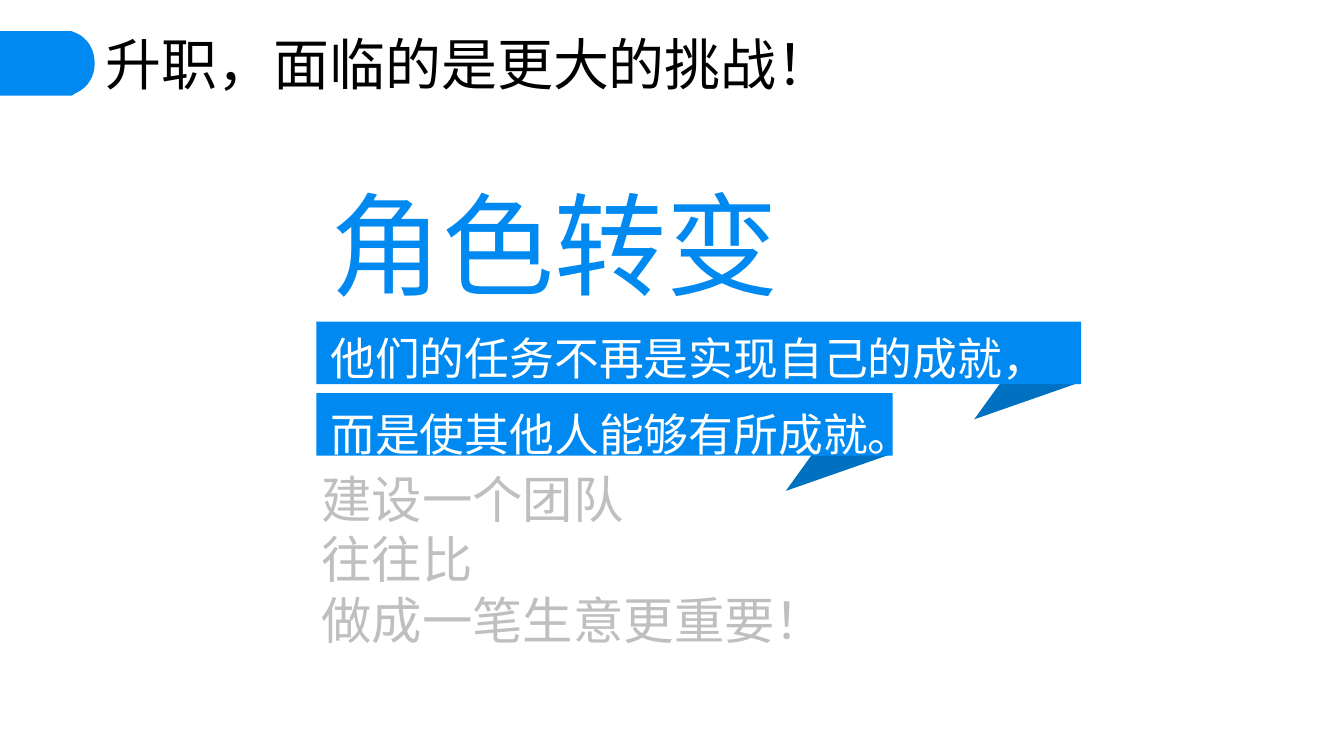
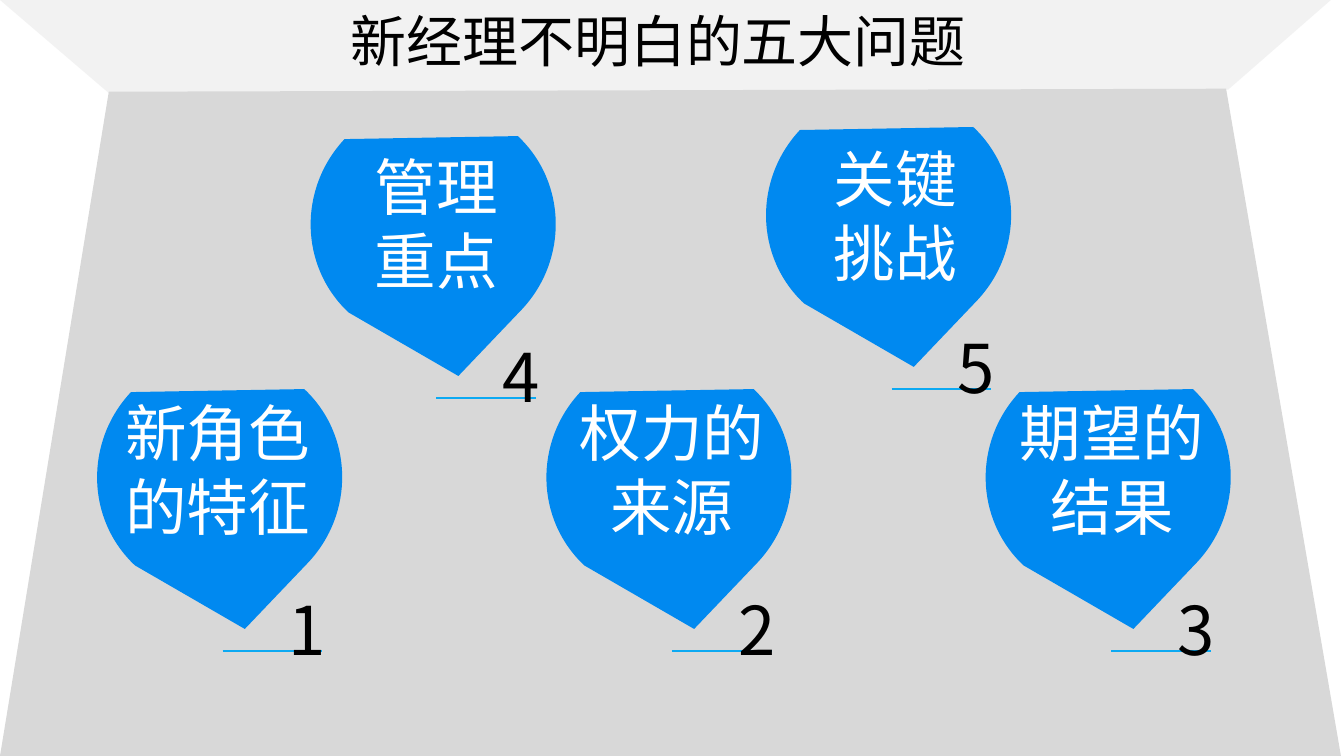
"""Builds two slides on the role change and the open questions of new managers."""
from lxml import etree
from pptx import Presentation
from pptx import util as u
from pptx.dml.color import RGBColor
from pptx.enum import shapes, text
from pptx.oxml.ns import qn

WIDTH, HEIGHT = 13.34, 7.5
FONT = "Noto Sans CJK SC"
BLUE = RGBColor(0x00, 0x89, 0xF0)
FOLD_BLUE = RGBColor(0x00, 0x70, 0xC0)
LINE_BLUE = RGBColor(0x0C, 0xA9, 0xF2)
CEILING_GREY = RGBColor(0xF2, 0xF2, 0xF2)
FLOOR_GREY = RGBColor(0xD8, 0xD8, 0xD8)
TEXT_GREY = RGBColor(0xBF, 0xBF, 0xBF)
WHITE = RGBColor(0xFF, 0xFF, 0xFF)
BLACK = RGBColor(0, 0, 0)

LEFT, CENTER = text.PP_ALIGN.LEFT, text.PP_ALIGN.CENTER
TITLE = dict(size=40, color=BLACK)
HEADLINE = dict(size=80, color=BLUE)
TASK = dict(size=32, color=WHITE, spacing=1.4)
REMARK = dict(size=36, color=TEXT_GREY)
PIN_LABEL = dict(size=44, color=WHITE, align=CENTER)
PIN_NUMBER = dict(size=48, color=BLACK)

CHALLENGE_TITLE = "升职，面临的是更大的挑战！"
ROLE_LINES = [
    ("角色转变", HEADLINE),
    ("他们的任务不再是实现自己的成就，", TASK),
    ("而是使其他人能够有所成就。", TASK),
]
REMARKS = ["建设一个团队", "往往比", "做成一笔生意更重要！"]
QUESTIONS_TITLE = "新经理不明白的五大问题"
QUESTIONS = [
    dict(lines=["新角色的特征"], tip=(2.43, 6.24), label=(1.03, 3.87)),
    dict(lines=["权力的来源"], tip=(6.89, 6.24), label=(5.54, 3.87)),
    dict(lines=["期望的", "结果"], tip=(11.25, 6.24), label=(9.91, 3.87)),
    dict(lines=["管理", "重点"], tip=(4.55, 3.73), label=(3.2, 1.43)),
    dict(lines=["关键", "挑战"], tip=(9.07, 3.64), label=(7.76, 1.35)),
]

BAND_LEFT, BAND_HEIGHT = 3.14, 0.62
BANDS = [(3.9, 5.72), (3.19, 7.59)]
FOLD = [(-0.59, -0.3), (-1.06, 0.35), (0, -0.02)]
TAB = [
    (0, 0.31), (0.71, 0.31), (0.76, 0.33),
    (0.87, 0.38, 0.94, 0.49, 0.94, 0.63),
    (0.94, 0.76, 0.87, 0.87, 0.76, 0.92),
    (0.71, 0.95), (0, 0.95),
]
CEILING = [(0, 0), (13.21, 0), (12.19, 0.89), (1.1, 0.94)]
FLOOR = [(1.08, 0.91), (12.17, 0.88), (13.31, HEIGHT), (0, HEIGHT)]
PIN = [
    (0.59, -2.38),
    (1.08, -1.92, 1.09, -1.15, 0.63, -0.66),
    (0, 0), (-1.09, -0.63),
    (-1.58, -1.09, -1.59, -1.86, -1.13, -2.35),
]


def inches(*lengths):
    return [u.Inches(length) for length in lengths]


def paint(shape, color):
    shape.fill.solid()
    shape.fill.fore_color.rgb = color
    shape.line.fill.background()
    shape.shadow.inherit = False


def bend(shape, outline):
    """Joins the three points of each six-number segment into one Bezier curve."""
    steps = iter(list(shape.element.iter(qn("a:lnTo"))))
    for segment in outline[1:]:
        step = next(steps)
        if len(segment) == 6:
            step.tag = qn("a:cubicBezTo")
            for _ in range(2):
                following = next(steps)
                step.append(following[0])
                following.getparent().remove(following)


def add_outline(slide, outline, color, origin=(0, 0)):
    points = [inches(origin[0] + segment[index], origin[1] + segment[index + 1])
              for segment in outline for index in range(0, len(segment), 2)]
    builder = slide.shapes.build_freeform(*points[0])
    builder.add_line_segments(points[1:], close=True)
    shape = builder.convert_to_shape()
    bend(shape, outline)
    paint(shape, color)


def write(shape, lines, wrap=True):
    frame = shape.text_frame
    settings = dict(word_wrap=wrap, auto_size=text.MSO_AUTO_SIZE.NONE,
                    vertical_anchor=text.MSO_ANCHOR.TOP)
    for name, value in settings.items():
        setattr(frame, name, value)
    for index, (words, style) in enumerate(lines):
        paragraph = frame.add_paragraph() if index else frame.paragraphs[0]
        layout = dict(alignment=style.get("align", LEFT), space_before=u.Pt(0),
                      line_spacing=style.get("spacing", 1.0))
        for name, value in layout.items():
            setattr(paragraph, name, value)
        run = paragraph.add_run()
        run.text = words
        run.font.name = FONT
        run.font.size = u.Pt(style["size"])
        run.font.color.rgb = style["color"]
        east_asian = etree.SubElement(run.font._element, qn("a:ea"))
        east_asian.set("typeface", FONT)


def place(shape, *box):
    for name, length in zip(("left", "top", "width", "height"), inches(*box)):
        setattr(shape, name, length)


def add_text(slide, box, lines, wrap=True):
    write(slide.shapes.add_textbox(*inches(*box)), lines, wrap)


def add_title(slide, words, box):
    title = slide.shapes.title
    place(title, *box)
    write(title, [(words, TITLE)])
    title.element.getparent().append(title.element)


def remove_bullets(shape):
    for paragraph in shape.text_frame.paragraphs:
        properties = paragraph._p.get_or_add_pPr()
        properties.set("marL", "0")
        properties.set("indent", "0")
        etree.SubElement(properties, qn("a:buNone"))


def build_challenge(presentation):
    slide = presentation.slides.add_slide(presentation.slide_layouts[1])
    add_title(slide, CHALLENGE_TITLE, (0.95, 0.24, 8.49, 0.77))
    add_outline(slide, TAB, BLUE)
    for top, width in BANDS:
        add_outline(slide, FOLD, FOLD_BLUE, (BAND_LEFT + width, top + BAND_HEIGHT))
    for top, width in BANDS:
        band = slide.shapes.add_shape(
            shapes.MSO_SHAPE.RECTANGLE, *inches(BAND_LEFT, top, width, BAND_HEIGHT))
        paint(band, BLUE)
    add_text(slide, (3.18, 1.69, 7.32, 2.93), ROLE_LINES, wrap=False)
    remarks = slide.placeholders[1]
    place(remarks, 3.09, 4.59, 5.4, 1.9)
    write(remarks, [(line, REMARK) for line in REMARKS])
    remove_bullets(remarks)
    remarks.element.getparent().append(remarks.element)


def add_question(slide, number, question):
    x, y = question["tip"]
    add_outline(slide, PIN, BLUE, (x, y))
    add_text(slide, (*question["label"], 2.26, 1.57),
             [(line, PIN_LABEL) for line in question["lines"]])
    start = x - 0.22
    rule = slide.shapes.add_connector(
        shapes.MSO_CONNECTOR.STRAIGHT, *inches(start, y + 0.22, start + 0.99, y + 0.22))
    rule.line.color.rgb = LINE_BLUE
    rule.line.width = u.Pt(1.5)
    etree.SubElement(rule.element.spPr, qn("a:effectLst"))
    add_text(slide, (x + 0.34, y - 0.45, 0.89, 0.9), [(str(number), PIN_NUMBER)])


def build_questions(presentation):
    slide = presentation.slides.add_slide(presentation.slide_layouts[5])
    add_outline(slide, CEILING, CEILING_GREY)
    add_outline(slide, FLOOR, FLOOR_GREY)
    for number, question in enumerate(QUESTIONS, 1):
        add_question(slide, number, question)
    add_title(slide, QUESTIONS_TITLE, (3.38, 0.01, 6.5, 0.77))


def main():
    presentation = Presentation()
    presentation.slide_width, presentation.slide_height = inches(WIDTH, HEIGHT)
    build_challenge(presentation)
    build_questions(presentation)
    presentation.save("out.pptx")


if __name__ == "__main__":
    main()
